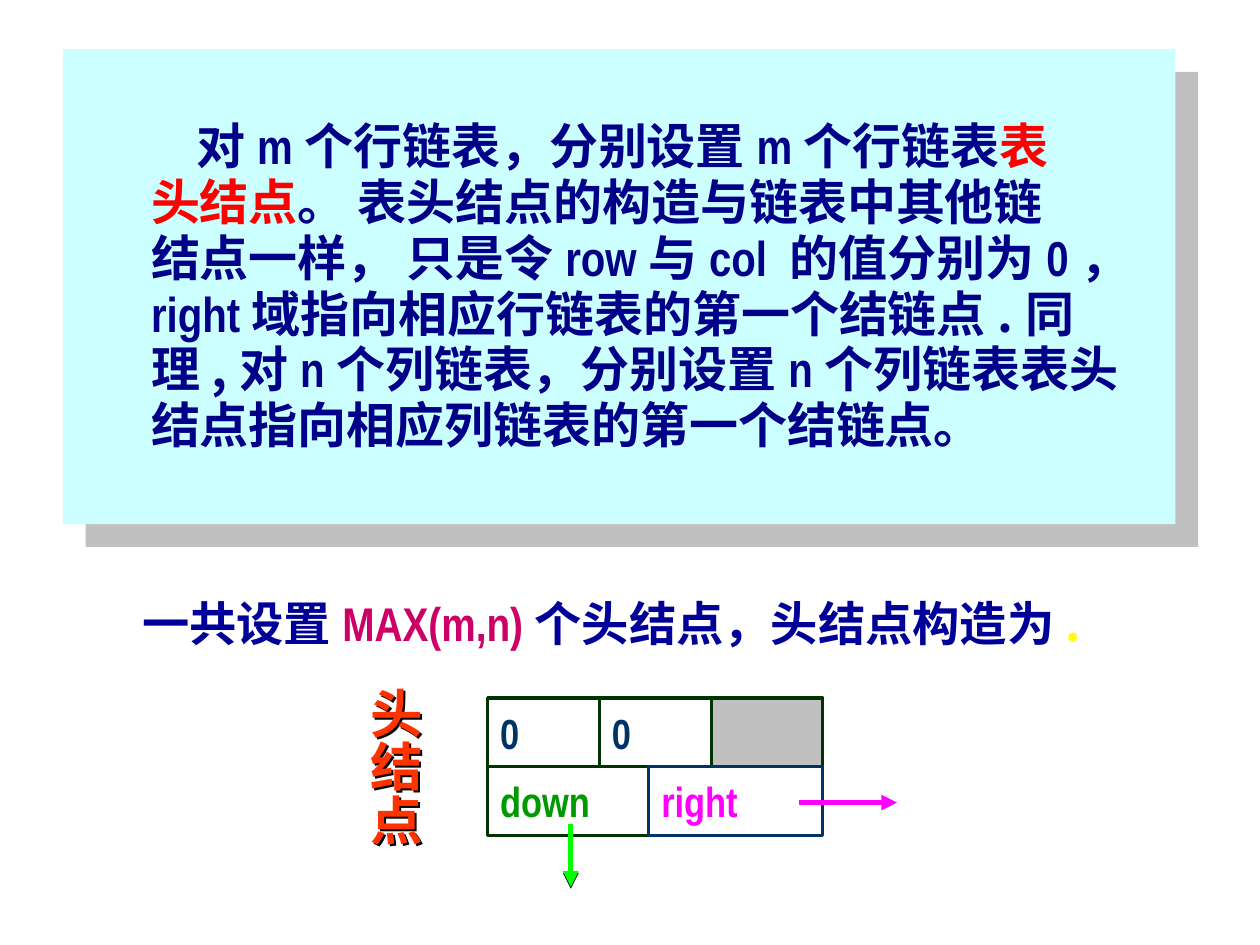
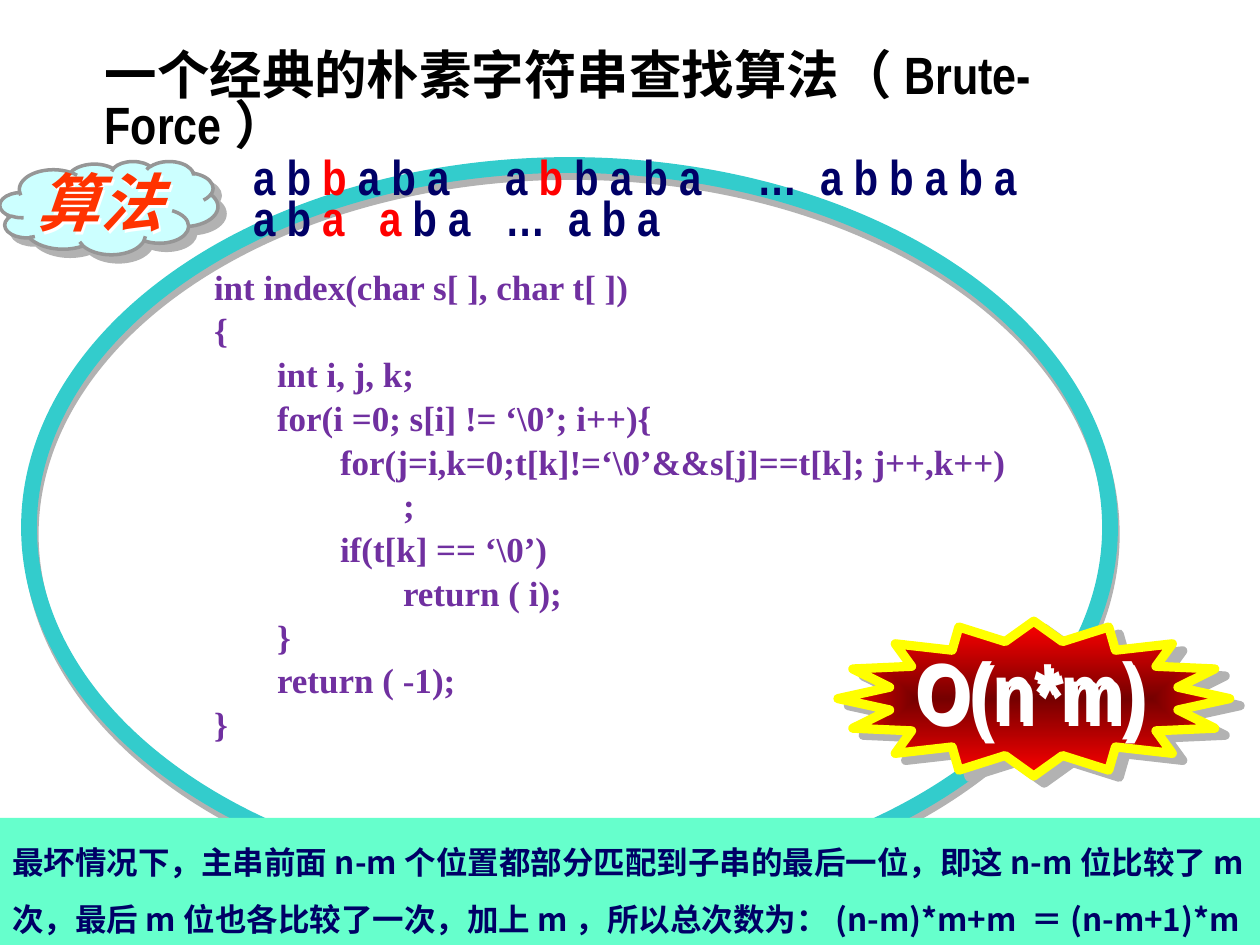
"""Build two lecture slides: head nodes of cross-linked lists and naive string search."""
from dataclasses import dataclass
from functools import partial
from typing import Any, NamedTuple, Optional

from lxml.etree import SubElement
from pptx import Presentation
from pptx.dml.color import RGBColor
from pptx.enum.shapes import MSO_CONNECTOR as Link, MSO_SHAPE as Kind
from pptx.enum.text import MSO_ANCHOR as Anchor, PP_ALIGN as Align
from pptx.oxml.ns import qn
from pptx.util import Inches, Pt

WIDE, HIGH = Inches(10), Inches(7.5)
COL, ROW = WIDE // 100, HIGH // 75

HAN, NARROW, ROMAN = "Noto Sans CJK SC", "Arial Narrow", "Times New Roman"

BLACK = RGBColor(0x00, 0x00, 0x00)
WHITE = RGBColor(0xFF, 0xFF, 0xFF)
RED = RGBColor(0xFF, 0x00, 0x00)
MAROON = RGBColor(0x76, 0x00, 0x00)
ORANGE = RGBColor(0xFF, 0x33, 0x00)
YELLOW = RGBColor(0xFF, 0xFF, 0x00)
ROSE = RGBColor(0xCC, 0x00, 0x66)
PINK = RGBColor(0xFF, 0x00, 0xFF)
PURPLE = RGBColor(0x70, 0x30, 0xA0)
NAVY = RGBColor(0x00, 0x00, 0x88)
BLUE = RGBColor(0x00, 0x00, 0x99)
INK = RGBColor(0x00, 0x00, 0x66)
STEEL = RGBColor(0x00, 0x33, 0x66)
PINE = RGBColor(0x00, 0x33, 0x00)
GREEN = RGBColor(0x00, 0x99, 0x00)
LIME = RGBColor(0x00, 0xFF, 0x00)
MINT = RGBColor(0x66, 0xFF, 0xCC)
ICE = RGBColor(0xCC, 0xFF, 0xFF)
TEAL = RGBColor(0x33, 0xCC, 0xCC)
SILVER = RGBColor(0xC0, 0xC0, 0xC0)
ASH = RGBColor(0xB2, 0xB2, 0xB2)
GRAY = RGBColor(0x96, 0x96, 0x96)


class Box(NamedTuple):
    """A place on the grid of 100 columns and 75 rows."""
    col: float
    row: float
    cols: float
    rows: float

    def rect(self) -> tuple[int, int, int, int]:
        """Return left, top, width and height."""
        return (round(self.col * COL), round(self.row * ROW),
                round(self.cols * COL), round(self.rows * ROW))


class Shade(NamedTuple):
    """A hard shadow."""
    tint: RGBColor
    dist: float
    angle: int = 45


class Run(NamedTuple):
    """A stretch of text that may differ from its paragraph."""
    text: str
    tint: Optional[RGBColor] = None
    face: Optional[str] = None


class Line(NamedTuple):
    """A paragraph: runs, left margin, first indent and tab stops in columns."""
    runs: list[Run]
    left: float = 0
    first: float = 0
    tabs: tuple[float, ...] = ()


@dataclass(frozen=True)
class Style:
    """The look that all paragraphs of a text share."""
    size: int
    tint: RGBColor
    face: str = HAN
    lead: Any = None
    gap: int = 0
    slant: bool = False
    align: Align = Align.LEFT


@dataclass(frozen=True)
class Form:
    """A preset shape with its paint."""
    kind: Kind
    box: Box
    fill: Optional[RGBColor] = None
    edge: Optional[RGBColor] = None
    width: float = 0
    shade: Optional[Shade] = None


class Arrow(NamedTuple):
    """An arrow between two grid points."""
    start: tuple[float, float]
    end: tuple[float, float]
    tint: RGBColor
    shade: Optional[Shade] = None


class Cell(NamedTuple):
    """A field of the head node."""
    text: str
    box: Box
    tint: RGBColor = STEEL
    edge: RGBColor = PINE
    fill: Optional[RGBColor] = None


Nar = partial(Run, face=NARROW)


def cast(item: Any, shade: Optional[Shade]) -> None:
    """Replace the theme shadow by the given one, or by none."""
    effects = SubElement(item._element.spPr, qn("a:effectLst"))
    if shade:
        outer = SubElement(effects, qn("a:outerShdw"), dist=str(Pt(shade.dist)),
                           dir=str(shade.angle * 60000), algn="ctr", rotWithShape="0")
        SubElement(outer, qn("a:srgbClr"), val=str(shade.tint))


def write(frame: Any, lines: list[Line], style: Style, wrap: bool = True,
          anchor: Anchor = Anchor.TOP) -> None:
    """Fill a text frame with paragraphs in one style."""
    frame.word_wrap, frame.vertical_anchor = wrap, anchor
    for place, line in enumerate(lines):
        para = frame.add_paragraph() if place else frame.paragraphs[0]
        props = para._p.get_or_add_pPr()
        props.set("marL", str(round(line.left * COL)))
        props.set("indent", str(round(line.first * COL)))
        if line.tabs:
            stops = SubElement(props, qn("a:tabLst"))
            for tab in line.tabs:
                SubElement(stops, qn("a:tab"), pos=str(round(tab * COL)), algn="l")
        para.alignment = style.align
        if style.lead:
            para.line_spacing = style.lead
        if place and style.gap:
            para.space_before = Pt(style.gap)
        font = para.font
        font.size, font.bold, font.italic = Pt(style.size), True, style.slant
        font.name, font.color.rgb = style.face, style.tint
        SubElement(font._element, qn("a:ea"), typeface=HAN)
        for part in line.runs:
            run = para.add_run()
            run.text = part.text
            if part.tint is not None:
                run.font.color.rgb = part.tint
            if part.face:
                run.font.name = part.face


def label(slide: Any, box: Box, lines: list[Line], style: Style,
          wrap: bool = True, shade: Optional[Shade] = None) -> None:
    """Add a text box."""
    item = slide.shapes.add_textbox(*box.rect())
    write(item.text_frame, lines, style, wrap)
    cast(item, shade)


def draw(slide: Any, form: Form) -> Any:
    """Add a preset shape and return it."""
    item = slide.shapes.add_shape(form.kind, *form.box.rect())
    if form.fill is None:
        item.fill.background()
    else:
        item.fill.solid()
        item.fill.fore_color.rgb = form.fill
    if form.edge is None:
        item.line.fill.background()
    else:
        item.line.color.rgb, item.line.width = form.edge, Pt(form.width)
    cast(item, form.shade)
    return item


def point(slide: Any, arrow: Arrow) -> None:
    """Add an arrow."""
    ends = [round(place * unit) for spot in (arrow.start, arrow.end)
            for place, unit in zip(spot, (COL, ROW))]
    item = slide.shapes.add_connector(Link.STRAIGHT, *ends)
    item.line.color.rgb, item.line.width = arrow.tint, Pt(3)
    SubElement(item.line._get_or_add_ln(), qn("a:tailEnd"), type="triangle")
    cast(item, arrow.shade)


def glow(item: Any, core: RGBColor, rim: RGBColor) -> None:
    """Fill a shape with a gradient from its core to its rim."""
    item.fill.gradient()
    for stop, tint, place in zip(item.fill.gradient_stops, (core, rim), (0, 1)):
        stop.color.rgb, stop.position = tint, place
    grad = item._element.spPr.find(qn("a:gradFill"))
    grad.remove(grad.find(qn("a:lin")))
    route = SubElement(grad, qn("a:path"), path="shape")
    SubElement(route, qn("a:fillToRect"), dict.fromkeys("ltrb", "50000"))


def head_node(deck: Any) -> None:
    """Build the slide on head nodes."""
    slide = deck.slides.add_slide(deck.slide_layouts[6])
    label(slide, Box(10.3, 46.7, 75.5, 5.6), [Line([
        Run("一共设置"), Nar("MAX(m,n)", ROSE), Run("个头结点，头结点构造为"),
        Run(".", YELLOW)])], Style(27, BLUE), wrap=False)
    draw(slide, Form(Kind.RECTANGLE, Box(5, 3.9, 88.3, 37.7), ICE,
                     shade=Shade(SILVER, 18.4)))
    label(slide, Box(11, 9, 87.5, 27.9), [
        Line([Run("对"), Nar("m"), Run("个行链表，分别设置"), Nar("m"),
              Run("个行链表"), Run("表", RED)], first=3.6),
        Line([Run("头结点", RED), Run("。 表头结点的构造与链表中其他链")]),
        Line([Run("结点一样， 只是令"), Nar("row"), Run("与"), Nar("col "),
              Run("的值分别为"), Nar("0"), Run("，")]),
        Line([Nar("right"), Run("域指向相应行链表的第一个结链点.同")]),
        Line([Run("理,对"), Nar("n"), Run("个列链表，分别设置"), Nar("n"),
              Run("个列链表表头")]),
        Line([Run("结点指向相应列链表的第一个结链点。")]),
    ], Style(28, NAVY, lead=0.95))

    left, top, third, high = 38.7, 55.4, 8.87, 5.45
    split = 12.8
    low = top + high
    cells = [
        Cell("0", Box(left, top, third, high)),
        Cell("0", Box(left + third, top, third, high)),
        Cell("", Box(left + 2 * third, top, third, high), fill=SILVER),
        Cell("down", Box(left, low, split, high), GREEN),
        Cell("right", Box(left + split, low, 3 * third - split, high), PINK, STEEL),
    ]
    for cell in cells:
        item = draw(slide, Form(Kind.RECTANGLE, cell.box, cell.fill, cell.edge, 1.75))
        if cell.text:
            write(item.text_frame, [Line([Run(cell.text)])],
                  Style(24, cell.tint, NARROW), False, Anchor.MIDDLE)
    point(slide, Arrow((63.4, 63.7), (71.2, 63.7), PINK))
    point(slide, Arrow((45.3, 65.4), (45.3, 70.4), LIME, Shade(BLACK, 1, 90)))
    label(slide, Box(28.4, 54.3, 6.4, 13.9), [Line([Run(char)]) for char in "头结点"],
          Style(30, ORANGE, lead=0.85), False, Shade(BLACK, 1.5))


def brute_force(deck: Any) -> None:
    """Build the slide on naive string search."""
    slide = deck.slides.add_slide(deck.slide_layouts[5])
    title = slide.shapes.title
    title.left, title.top, title.width, title.height = Box(7.3, 3.8, 89.6, 9.2).rect()
    write(title.text_frame, [Line([Run("一个经典的朴素字符串查找算法（Brute-Force）")])],
          Style(30, BLACK, NARROW, lead=0.8))

    draw(slide, Form(Kind.CLOUD, Box(0, 12.8, 17.3, 7.4), ICE, GRAY, 2, Shade(ASH, 5.7)))
    label(slide, Box(1.9, 12.5, 16.7, 7.1), [Line([Run("算法")])],
          Style(36, ORANGE, slant=True), shade=Shade(WHITE, 2))
    draw(slide, Form(Kind.OVAL, Box(2.3, 13.1, 85.8, 57.5), None, TEAL, 9,
                     Shade(ASH, 4.1, 76)))
    code = [
        (0, "int index(char s[ ], char t[ ])"),
        (0, "{"),
        (1, "int i, j, k;"),
        (1, "for(i =0; s[i] != ‘\\0’; i++){"),
        (2, "for(j=i,k=0;t[k]!=‘\\0’&&s[j]==t[k]; j++,k++)"),
        (3, ";"),
        (2, "if(t[k] == ‘\\0’)"),
        (3, "return ( i);"),
        (1, "}"),
        (1, "return ( -1);"),
        (0, "}"),
    ]
    label(slide, Box(16, 21.8, 71.8, 43.1),
          [Line([Run(text)], left=5 * depth) for depth, text in code],
          Style(20, PURPLE, ROMAN, Pt(15), 10, align=Align.JUSTIFY))
    label(slide, Box(19.1, 12.4, 78.9, 7.6), [
        Line([Run("a b "), Run("b", RED), Run(" a b a\ta "), Run("b ", RED),
              Run("b a b a\t…\ta b b a b a")], tabs=(20, 39.3, 44.9)),
        Line([Run("a b "), Run("a\ta", RED), Run(" b a\t…\ta b a")],
             tabs=(23.2, 42.8, 57.3)),
    ], Style(28, INK, NARROW, 0.7))

    burst = draw(slide, Form(Kind.STAR_16_POINT, Box(66.5, 49.3, 31.1, 12.3), RED,
                             YELLOW, 5.25, Shade(ASH, 7.2, 34)))
    glow(burst, MAROON, RED)
    label(slide, Box(71.7, 50.2, 25.2, 9.1), [Line([Run("O(n*m)")])],
          Style(48, WHITE, NARROW), shade=Shade(WHITE, 2.8))
    band = draw(slide, Form(Kind.RECTANGLE, Box(0, 64.9, 100, 10.1), MINT))
    write(band.text_frame, [Line([Run(
        "最坏情况下，主串前面n-m个位置都部分匹配到子串的最后一位，即这n-m位比较了m次，"
        "最后m位也各比较了一次，加上m，所以总次数为：(n-m)*m+m ＝(n-m+1)*m")])],
        Style(18, INK, lead=1.5))


def main() -> None:
    """Build and save the deck."""
    deck = Presentation()
    deck.slide_width, deck.slide_height = WIDE, HIGH
    head_node(deck)
    brute_force(deck)
    deck.save("out.pptx")


if __name__ == "__main__":
    main()
